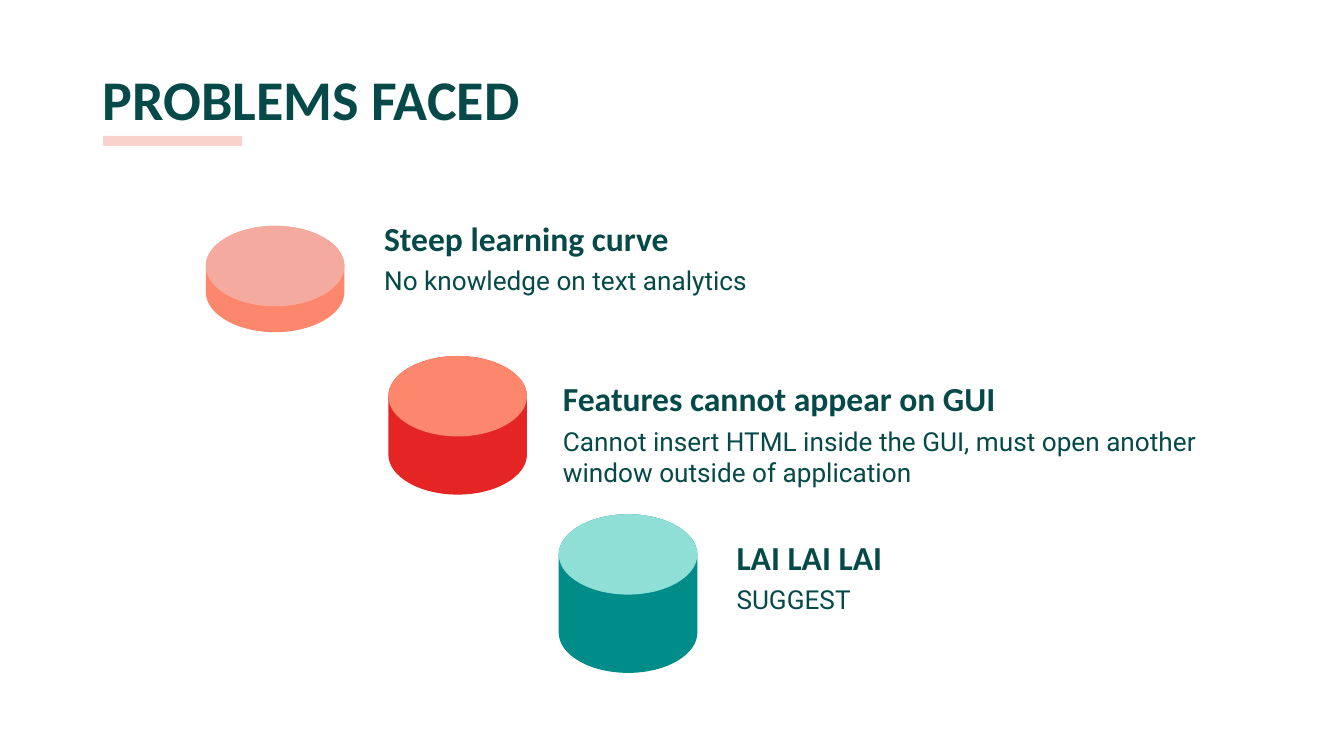
from lxml.etree import SubElement
from pptx import Presentation
from pptx.dml.color import RGBColor
from pptx.enum.shapes import MSO_SHAPE
from pptx.enum.text import MSO_ANCHOR
from pptx.oxml.ns import qn
from pptx.util import Cm, Pt

COLORS = {
    "ink": "064949",
    "pink": "F4AA9E",
    "coral": "FD876C",
    "red": "E42524",
    "teal": "008D8A",
    "mint": "8FDFD6",
}


def add_text(text, box, font, size, bold=False, anchor=MSO_ANCHOR.TOP):
    tf = s.shapes.add_textbox(*map(Cm, box)).text_frame
    tf.word_wrap = True
    tf.vertical_anchor = anchor
    tf.margin_top = tf.margin_bottom = Cm(0.25)
    p = tf.paragraphs[0]
    p.text = text
    p.font.name = font
    p.font.size = Pt(size)
    p.font.bold = bold
    p.font.color.rgb = RGBColor.from_string(COLORS["ink"])


def paint(sp, color):
    sp.shadow.inherit = False
    sp.fill.solid()
    sp.fill.fore_color.rgb = RGBColor.from_string(COLORS[color])
    sp.line.fill.background()


prs = Presentation()
prs.slide_width, prs.slide_height = Cm(25.4), Cm(14.29)
s = prs.slides.add_slide(prs.slide_layouts[6])

add_text("PROBLEMS FACED", (1.69, 0.98, 23.67, 1.6), "Calibri", 30, True)

problems = [
    ("Steep learning curve", (7.01, 3.94, 7.87, 1.19),
     "No knowledge on text analytics", (7.01, 4.75, 15.27, 2.26)),
    ("Features cannot appear on GUI", (10.39, 6.63, 11.58, 1.52),
     "Cannot insert HTML inside the GUI, must open another window outside of application",
     (10.39, 7.79, 12.98, 2.18)),
    ("LAI LAI LAI", (13.67, 10.09, 4.6, 1.07),
     "SUGGEST", (13.67, 10.77, 8.61, 2.18)),
]
for heading, heading_box, detail, detail_box in problems:
    add_text(heading, heading_box, "Calibri", 18, True, MSO_ANCHOR.BOTTOM)
    add_text(detail, detail_box, "Roboto", 14)

underline = s.shapes.add_shape(MSO_SHAPE.RECTANGLE, Cm(1.95), Cm(2.57), Cm(2.63), Cm(0.19))
paint(underline, "pink")
color = underline.fill._xPr.find(qn("a:solidFill"))[0]
SubElement(color, qn("a:alpha")).set("val", "52000")

rx, ry, bend = Cm(1.31), Cm(0.76), 0.55
cylinders = [
    (3.89, 4.27, 2.01, "coral", "pink"),
    (7.34, 6.73, 2.62, "red", "coral"),
    (10.56, 9.72, 3, "teal", "mint"),
]
for left, top, depth, side, lid in cylinders:
    group = s.shapes.add_group_shape()
    for height, color in ((Cm(depth), side), (2 * ry, lid)):
        low = height - ry
        points = [(0, ry), (rx, 0), (2 * rx, ry), (2 * rx, low), (rx, height), (0, low)]
        builder = group.shapes.build_freeform(*points[0])
        builder.add_line_segments(points[1:])
        sp = builder.convert_to_shape(Cm(left), Cm(top))
        paint(sp, color)
        lines = list(sp._element.iter(qn("a:lnTo")))
        for i, corner in ((0, (0, 0)), (1, (2 * rx, 0)), (3, (2 * rx, height)), (4, (0, height))):
            curve = lines[i]
            curve.tag = qn("a:cubicBezTo")
            for n, end in enumerate((points[i], points[i + 1])):
                pt = curve.makeelement(qn("a:pt"))
                for axis, a, b in zip("xy", end, corner):
                    pt.set(axis, str(round(a + bend * (b - a))))
                curve.insert(n, pt)

prs.save("out.pptx")
